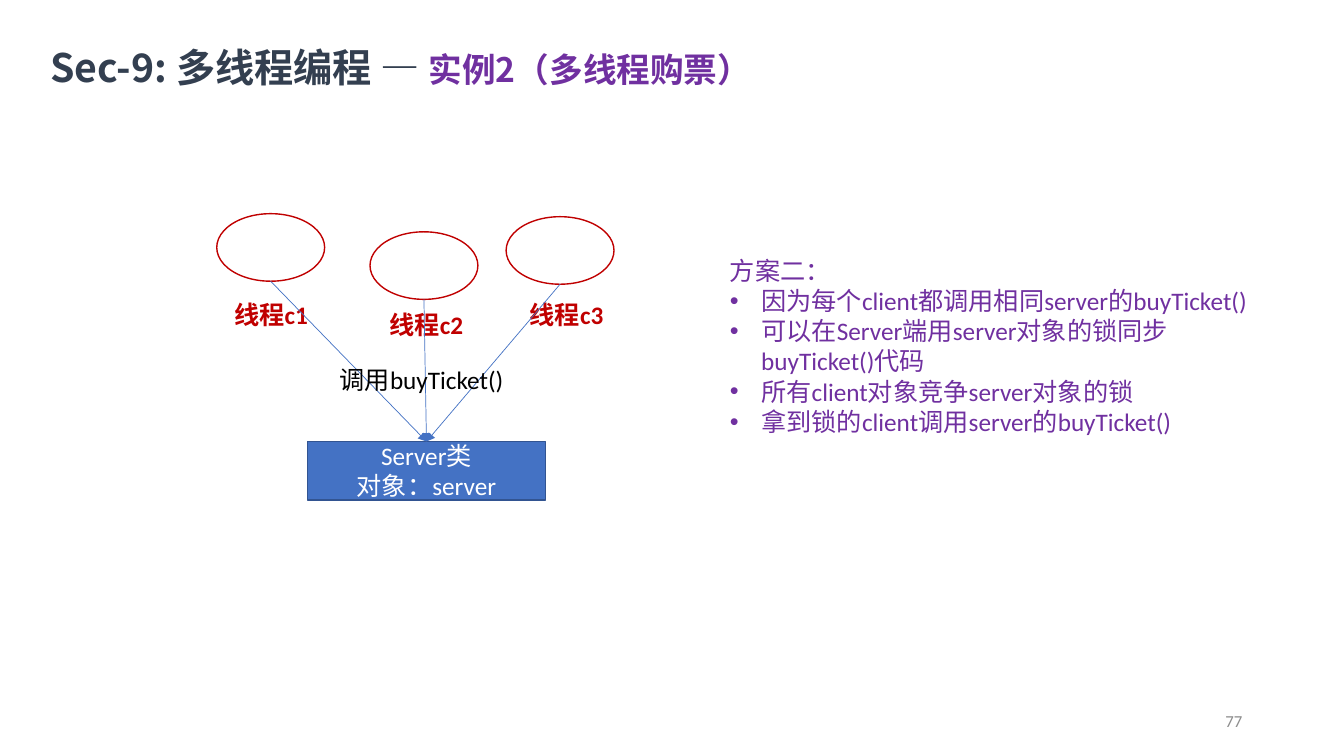
"""Build the slide on multithreaded ticket buying with a shared server lock."""
from lxml.etree import SubElement
from pptx import Presentation
from pptx.dml.color import RGBColor
from pptx.enum.shapes import MSO_CONNECTOR, MSO_SHAPE
from pptx.enum.text import MSO_ANCHOR as Anchor, MSO_AUTO_SIZE as AutoSize, PP_ALIGN as Align
from pptx.oxml.ns import qn
from pptx.util import Inches, Pt

COLORS = {"title": "333F50", "purple": "7030A0", "red": "C00000", "blue": "4472C4",
          "edge": "325491", "white": "FFFFFF", "black": "000000", "gray": "8C8C8C"}
BODY_FONT, TITLE_FONT = "Calibri", "Noto Sans CJK SC"
TITLE = [("Sec-9: 多线程编程 — ", 28, "title"), ("实例2（多线程购票）", 24, "purple")]
THREADS = [("线程c1", (2.15, 2.12), (1.99, 2.92)),
           ("线程c2", (3.67, 2.3), (3.53, 3.02)),
           ("线程c3", (5.02, 2.15), (4.92, 2.92))]
OVAL_WIDTH, OVAL_HEIGHT = 1.07, 0.67
SERVER = (3.05, 4.38, 2.36, 0.58)
SERVER_TEXT = "Server类\n对象：server"
CALL = "调用buyTicket()"
PLAN = ["方案二：",
        "因为每个client都调用相同server的buyTicket()",
        "可以在Server端用server对象的锁同步buyTicket()代码",
        "所有client对象竞争server对象的锁",
        "拿到锁的client调用server的buyTicket()"]
PAGE_NUMBER = "77"


def color(name):
    return RGBColor.from_string(COLORS[name])


def place(shape, left, top, width, height):
    shape.left, shape.top = Inches(left), Inches(top)
    shape.width, shape.height = Inches(width), Inches(height)


def style_run(span, size, name, bold=False, face=BODY_FONT):
    span.font.name, span.font.size, span.font.bold = face, Pt(size), bold
    span.font.color.rgb = color(name)


def write(shape, text, name, size=18, bold=False, align=Align.LEFT, anchor=Anchor.TOP):
    frame = shape.text_frame
    frame.text, frame.word_wrap, frame.vertical_anchor = text, True, anchor
    for para in frame.paragraphs:
        para.alignment = align
        for span in para.runs:
            style_run(span, size, name, bold)


def add_label(page, area, text, name, **style):
    box = page.shapes.add_textbox(*map(Inches, area))
    write(box, text, name, **style)


def add_outlined(page, kind, area, line, fill=None):
    shape = page.shapes.add_shape(kind, *map(Inches, area))
    shape.shadow.inherit = False
    if fill:
        shape.fill.solid()
        shape.fill.fore_color.rgb = color(fill)
    else:
        shape.fill.background()
    shape.line.color.rgb, shape.line.width = color(line), Pt(1)
    return shape


def add_arrow(page, start, end):
    arrow = page.shapes.add_connector(MSO_CONNECTOR.STRAIGHT, *map(Inches, start + end))
    arrow.line.color.rgb, arrow.line.width = color("blue"), Pt(0.5)
    SubElement(arrow.line._get_or_add_ln(), qn("a:tailEnd"), type="triangle")
    SubElement(arrow._element.spPr, qn("a:effectLst"))


def fill_title(title):
    place(title, 0.5, 0.42, 7.74, 0.48)
    frame = title.text_frame
    frame.auto_size, frame.vertical_anchor = AutoSize.NONE, Anchor.TOP
    frame.margin_left = frame.margin_right = frame.margin_bottom = 0
    frame.margin_top = Inches(0.01)
    para = frame.paragraphs[0]
    para.alignment = Align.LEFT
    for text, size, name in TITLE:
        span = para.add_run()
        span.text = text
        style_run(span, size, name, True, TITLE_FONT)
        SubElement(span.font._element, qn("a:ea"), typeface=TITLE_FONT)


def fill_plan(body):
    place(body, 7.14, 2.48, 5.49, 1.92)
    write(body, "\n".join(PLAN), "purple")
    body.text_frame.auto_size = AutoSize.NONE
    for index, para in enumerate(body.text_frame.paragraphs):
        para.space_before = Pt(0)
        props = para._p.get_or_add_pPr()
        indent = Inches(0.31) if index else 0
        props.set("marL", str(indent))
        props.set("indent", str(-indent))
        if index:
            SubElement(props, qn("a:buFont"), typeface="Arial")
            SubElement(props, qn("a:buChar"), char="•")
        else:
            SubElement(props, qn("a:buNone"))


def main():
    deck = Presentation()
    deck.slide_width, deck.slide_height = Inches(13.33), Inches(7.5)
    page = deck.slides.add_slide(deck.slide_layouts[1])
    fill_title(page.shapes.title)
    fill_plan(page.placeholders[1])

    left, top, width, height = SERVER
    server = add_outlined(page, MSO_SHAPE.RECTANGLE, SERVER, "edge", "blue")
    write(server, SERVER_TEXT, "white", align=Align.CENTER, anchor=Anchor.MIDDLE)
    for name, (x, y), label in THREADS:
        add_outlined(page, MSO_SHAPE.OVAL, (x, y, OVAL_WIDTH, OVAL_HEIGHT), "red")
        add_label(page, label + (1.4, 0.4), name, "red", bold=True, align=Align.CENTER)
        add_arrow(page, (x + OVAL_WIDTH / 2, y + OVAL_HEIGHT), (left + width / 2, top))
    add_label(page, (3.27, 3.57, 2.03, 0.4), CALL, "black")
    add_label(page, (9.42, 6.95, 3, 0.4), PAGE_NUMBER, "gray", size=12,
              align=Align.RIGHT, anchor=Anchor.MIDDLE)
    deck.save("out.pptx")


if __name__ == "__main__":
    main()
